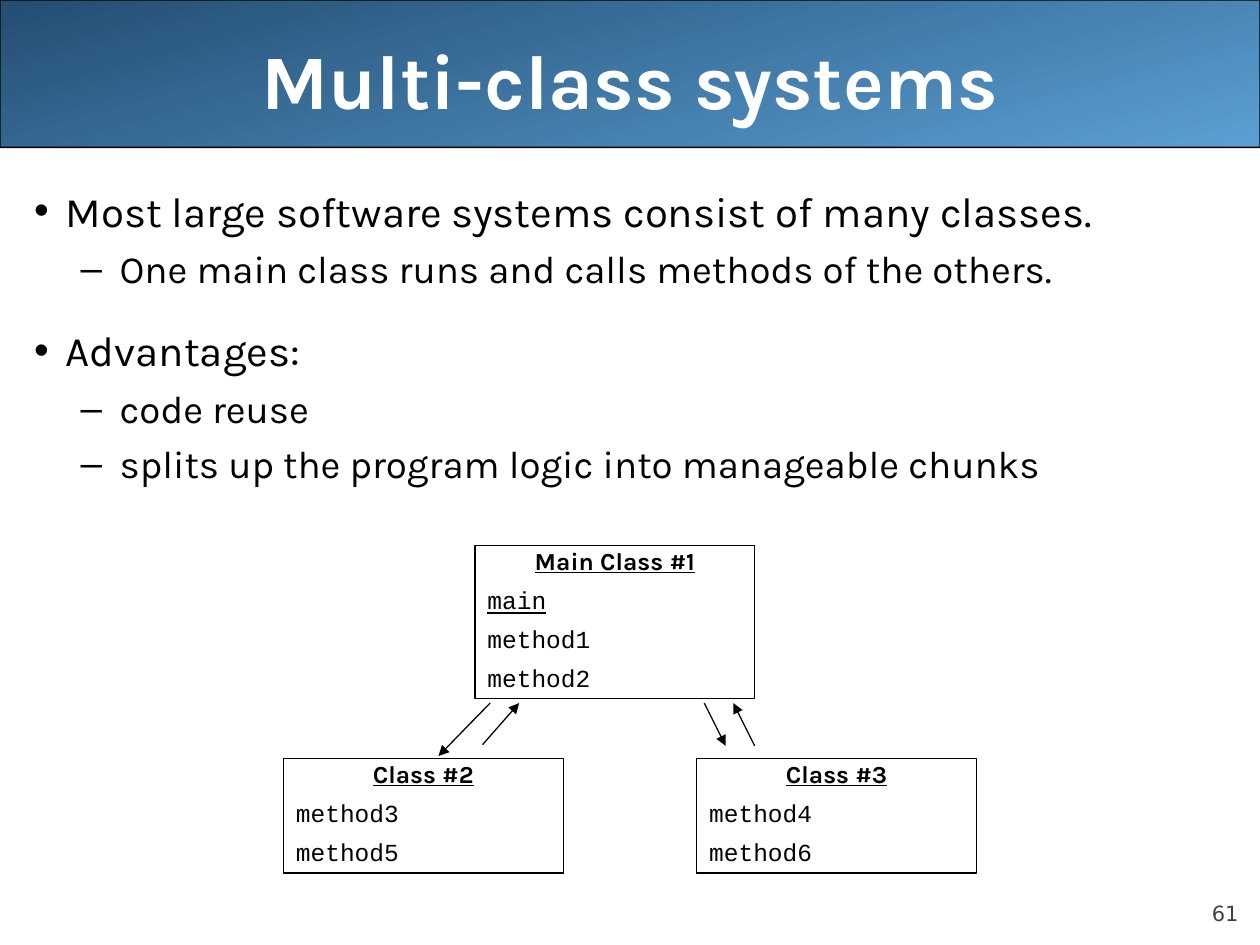
from lxml.etree import SubElement as Sub
from pptx import Presentation
from pptx.dml.color import RGBColor as RGB
from pptx.enum.shapes import MSO_CONNECTOR as Conn, MSO_SHAPE as Kind
from pptx.enum.text import MSO_ANCHOR as Anchor, MSO_AUTO_SIZE as Fit, PP_ALIGN as Align
from pptx.oxml.ns import qn
from pptx.util import Inches, Pt

# Content
TITLE = "Multi-class systems"
PAGE = "61"
POINTS = [  # level, text, space before
    (0, "Most large software systems consist of many classes.", 0),
    (1, "One main class runs and calls methods of the others.", 5.5),
    (0, "Advantages:", 19),
    (1, "code reuse", 5.5),
    (1, "splits up the program logic into manageable chunks", 5.5),
]
LEVELS = [  # bullet, size, left margin, hanging indent
    ("•", 24, 0.25, 0.25),
    ("–", 22, 0.68, 0.31),
]
CLASSES = [  # left, top, name, methods
    (3.77, 4.33, "Main Class #1", ["main", "method1", "method2"]),
    (2.25, 6.02, "Class #2", ["method3", "method5"]),
    (5.53, 6.02, "Class #3", ["method4", "method6"]),
]
CALLS = [  # start, end
    ((3.89, 5.58), (3.48, 6)),
    ((3.83, 5.91), (4.12, 5.58)),
    ((5.59, 5.58), (5.76, 5.92)),
    ((5.99, 5.92), (5.82, 5.58)),
]

# Style
COLORS = {"dark": "244E72", "light": "5A9FD4", "ink": "000000",
          "paper": "FFFFFF", "page": "424242"}
SANS, MONO, PLAIN = "Karla", "Courier New", "DejaVu Sans"
WIDE, TALL = 10, 7.5
BOX_W, ROW_H = 2.22, 0.303


def color(name):
    return RGB.from_string(COLORS[name])


def style(para, face, size, ink="ink", bold=False, under=False):
    for run in para.runs:
        font = run.font
        font.name, font.size = face, Pt(size)
        font.bold, font.underline = bold, under
        font.color.rgb = color(ink)


def place(shape, left, top, width, height):
    shape.left, shape.top = Inches(left), Inches(top)
    shape.width, shape.height = Inches(width), Inches(height)


def edge(shape):
    shape.line.color.rgb = color("ink")
    shape.line.width = Pt(0.75)


deck = Presentation()
deck.slide_width, deck.slide_height = Inches(WIDE), Inches(TALL)
slide = deck.slides.add_slide(deck.slide_layouts[1])
shapes = slide.shapes
title, body = slide.placeholders

# Title band, kept behind the title
band = shapes.add_shape(Kind.ROUNDED_RECTANGLE, 0, 0, Inches(WIDE), Inches(1.17))
band.adjustments[0] = 0.001
band.shadow.inherit = False
band.fill.gradient()
band.fill.gradient_angle = 360 - 75
for stop, name in zip(band.fill.gradient_stops, ("dark", "light")):
    stop.color.rgb = color(name)
edge(band)
title._element.addprevious(band._element)

# Title
place(title, 0.5, 0, 9, 1.25)
frame = title.text_frame
frame.text = TITLE
frame.vertical_anchor, frame.auto_size = Anchor.MIDDLE, Fit.NONE
frame.paragraphs[0].alignment = Align.CENTER
style(frame.paragraphs[0], SANS, 44, "paper", bold=True)

# Bullet list
place(body, 0.17, 1.42, 9.83, 5.67)
frame = body.text_frame
frame.text = "\n".join(text for _, text, _ in POINTS)
frame.auto_size = Fit.NONE
for para, (level, _, gap) in zip(frame.paragraphs, POINTS):
    mark, size, left, hang = LEVELS[level]
    para.level = level
    props = para._p.get_or_add_pPr()
    props.set("marL", str(Inches(left)))
    props.set("indent", str(-Inches(hang)))
    Sub(props, qn("a:buChar")).set("char", mark)
    para.space_before = Pt(gap)
    style(para, SANS, size)

# Class boxes, one row for the name and one for each method
for left, top, name, methods in CLASSES:
    rows = [name, *methods]
    box = shapes.add_shape(Kind.RECTANGLE, Inches(left), Inches(top),
                           Inches(BOX_W), Inches(ROW_H * len(rows)))
    box.shadow.inherit = False
    box.fill.background()
    edge(box)
    frame = box.text_frame
    frame.word_wrap, frame.vertical_anchor = True, Anchor.TOP
    frame.text = "\n".join(rows)
    for row, para in enumerate(frame.paragraphs):
        head = row == 0
        para.alignment = Align.CENTER if head else Align.LEFT
        para.line_spacing = 0.8
        para.space_before = Pt(0 if head else 8.8)
        style(para, SANS if head else MONO, 14, bold=head,
              under=head or rows[row] == "main")

# Call arrows
for start, end in CALLS:
    arrow = shapes.add_connector(Conn.STRAIGHT, *map(Inches, start + end))
    edge(arrow)
    Sub(arrow.line._get_or_add_ln(), qn("a:tailEnd")).set("type", "triangle")
    Sub(arrow._element.spPr, qn("a:effectLst"))

# Page number
note = shapes.add_textbox(Inches(9), Inches(6.95), Inches(0.83), Inches(0.4))
frame = note.text_frame
frame.text = PAGE
frame.word_wrap, frame.vertical_anchor = True, Anchor.BOTTOM
frame.margin_left = frame.margin_right = frame.margin_top = frame.margin_bottom = 0
frame.paragraphs[0].alignment = Align.RIGHT
style(frame.paragraphs[0], PLAIN, 12, "page")

deck.save("out.pptx")
